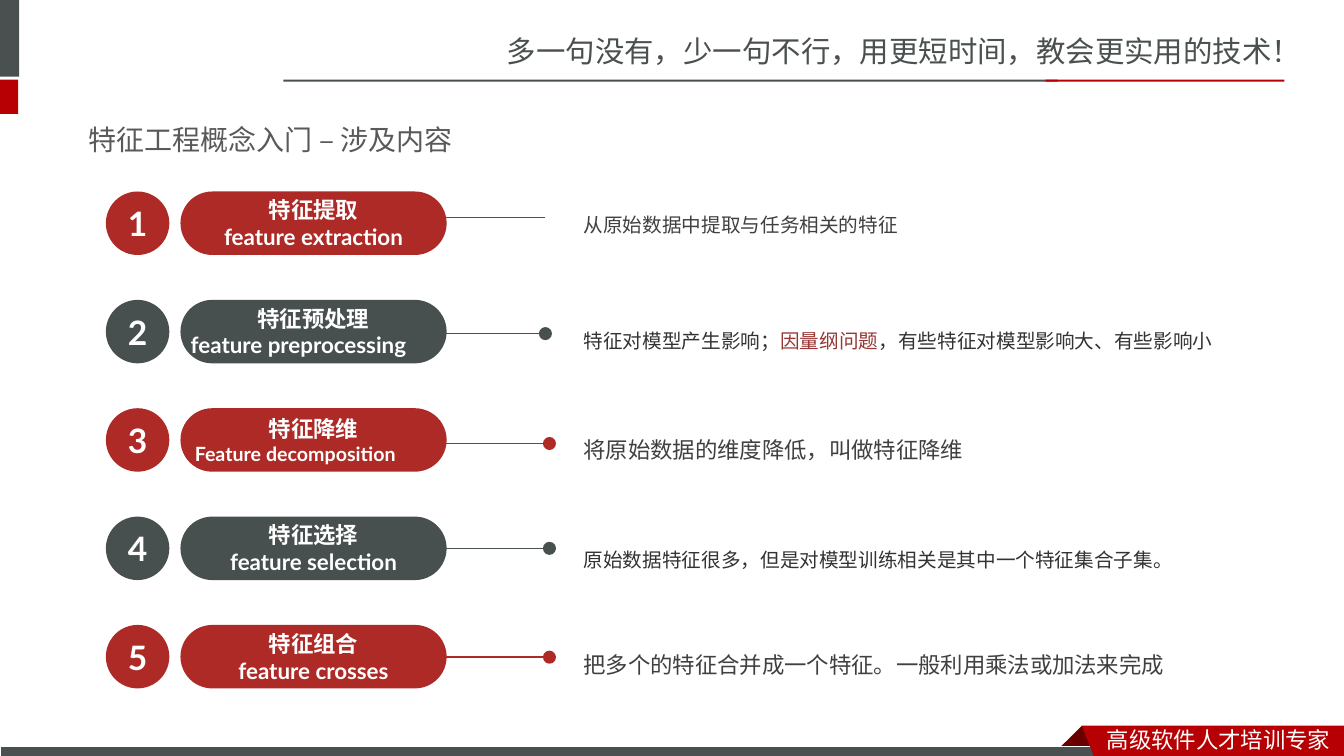
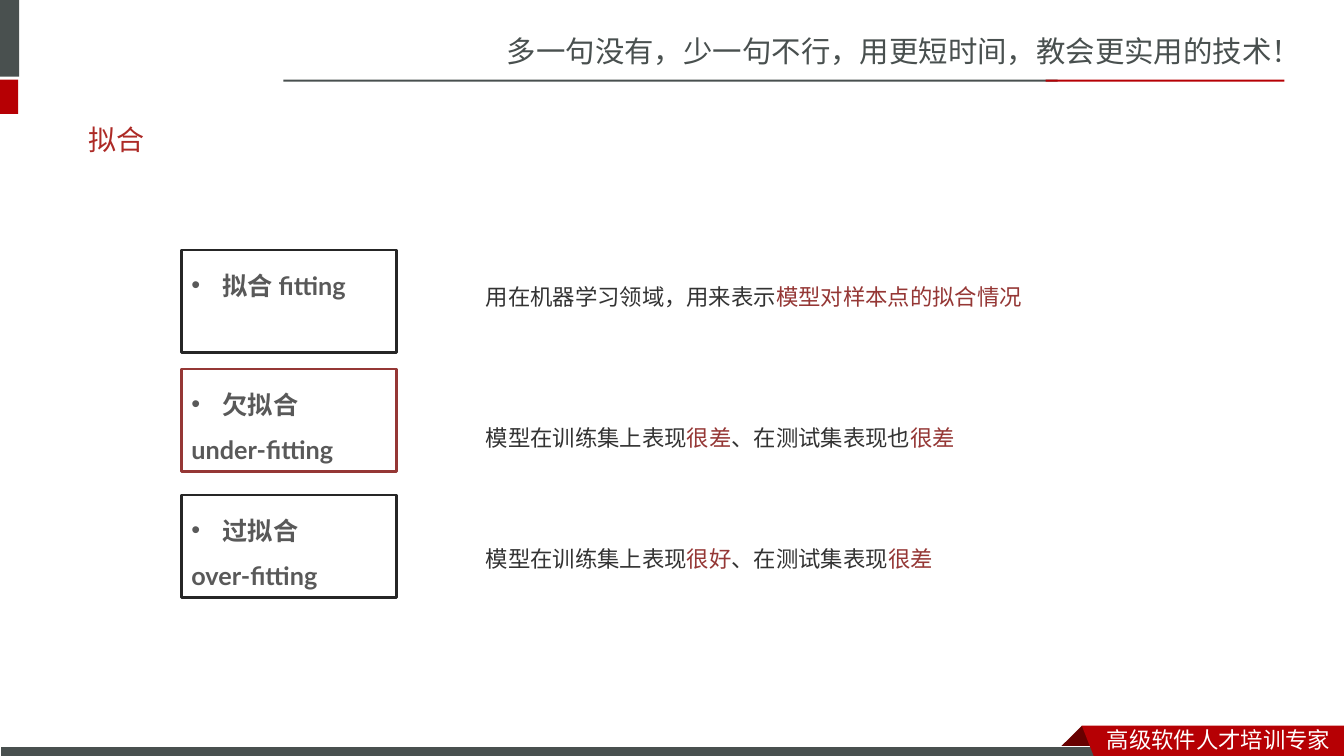
from dataclasses import dataclass

from lxml.etree import SubElement
from pptx import Presentation
from pptx.dml.color import RGBColor
from pptx.enum.shapes import MSO_CONNECTOR, MSO_SHAPE
from pptx.enum.text import MSO_ANCHOR, PP_ALIGN
from pptx.oxml.ns import qn
from pptx.util import Inches, Pt


@dataclass(frozen=True)
class Theme:
    slate: str = "49504F"
    band: str = "B60004"
    fold: str = "680000"
    red: str = "AD2A26"
    gray: str = "48504F"
    accent: str = "953735"
    title: str = "595959"
    body: str = "333333"
    soft: str = "404040"
    frame: str = "262626"
    white: str = "FFFFFF"
    cjk: str = "Noto Sans CJK SC"
    head: str = "Lato"
    number_size: int = 24
    slogan_size: int = 21
    title_size: int = 20
    card_size: int = 18
    text_size: int = 16
    small_size: int = 14


T = Theme()


def add_box(s, x, y, w, h, kind=None, fill=None, line=None, width=0.75):
    place = [Inches(v) for v in (x, y, w, h)]
    if kind is None:
        sp = s.shapes.add_textbox(*place)
    else:
        sp = s.shapes.add_shape(kind, *place)
        sp.shadow.inherit = False
        if fill:
            sp.fill.solid()
            sp.fill.fore_color.rgb = RGBColor.from_string(fill)
        else:
            sp.fill.background()
        if line:
            sp.line.color.rgb = RGBColor.from_string(line)
            sp.line.width = Pt(width)
        else:
            sp.line.fill.background()
    sp.text_frame.word_wrap = True
    return sp


def write(p, runs, size, font=T.head, bold=False, align=PP_ALIGN.LEFT, spacing=None):
    p.alignment = align
    if spacing:
        p.line_spacing = spacing
    for text, color in runs:
        r = p.add_run()
        r.text = text
        r.font.size = Pt(size)
        r.font.bold = bold
        r.font.name = font
        r.font.color.rgb = RGBColor.from_string(color)
        SubElement(r.font._element, qn("a:ea")).set("typeface", T.cjk)


prs = Presentation()
prs.slide_width, prs.slide_height = Inches(13.33), Inches(7.5)

slides = []
for title, color in (("特征工程概念入门 – 涉及内容", T.title), ("拟合", T.red)):
    s = prs.slides.add_slide(prs.slide_layouts[6])
    slides.append(s)

    sp = add_box(s, 4.93, 0.28, 8.4, 0.47)
    write(sp.text_frame.paragraphs[0],
          [("多一句没有，少一句不行，用更短时间，教会更实用的技术！", T.slate)],
          T.slogan_size, T.cjk)
    for x, y, w, h, fill in ((0, 0, 0.19, 0.76, T.slate),
                             (0, 0.79, 0.18, 0.34, T.band),
                             (2.81, 0.79, 7.68, 0.02, T.slate),
                             (10.37, 0.79, 2.37, 0.02, T.band)):
        add_box(s, x, y, w, h, MSO_SHAPE.RECTANGLE, fill)

    fold = [(10.73, 7.2), (10.95, 7.42), (10.94, 7.43), (10.52, 7.43), (10.51, 7.42)]
    ribbon = [(10.73, 7.2), (13.33, 7.2), (13.33, 7.54), (10.86, 7.53)]
    for outline, fill in ((fold, T.fold), (ribbon, T.band)):
        if outline is ribbon:
            add_box(s, 0, 7.41, 10.99, 0.12, MSO_SHAPE.RECTANGLE, T.slate, T.white)
        points = [(Inches(x), Inches(y)) for x, y in outline]
        builder = s.shapes.build_freeform(*points[0])
        builder.add_line_segments(points[1:], close=True)
        sp = builder.convert_to_shape()
        sp.shadow.inherit = False
        sp.fill.solid()
        sp.fill.fore_color.rgb = RGBColor.from_string(fill)
        sp.line.fill.background()
    sp = add_box(s, 10.88, 7.15, 2.45, 0.37)
    write(sp.text_frame.paragraphs[0], [("高级软件人才培训专家", T.white)], T.text_size, T.cjk)

    sp = add_box(s, 0.78, 1.1, 11.76, 0.57)
    sp.text_frame.vertical_anchor = MSO_ANCHOR.MIDDLE
    write(sp.text_frame.paragraphs[0], [(title, color)], T.title_size)

overview, fitting = slides

steps = [
    ("特征提取", "feature extraction", T.text_size, None, 2.16, None, 1.95,
     [("从原始数据中提取与任务相关的特征", T.soft)], T.small_size, "Calibri"),
    ("特征预处理", "feature preprocessing", T.text_size, 0.01, 3.31, 5.41, 3.1,
     [("特征对模型产生影响；", T.body), ("因量纲问题", T.accent),
      ("，有些特征对模型影响大、有些影响小", T.body)], T.small_size, "Open Sans"),
    ("特征降维", "Feature decomposition", T.small_size, 0.05, 4.4, 5.45, 4.14,
     [("将原始数据的维度降低，叫做特征降维", T.soft)], T.text_size, "Calibri"),
    ("特征选择", "feature selection", T.text_size, None, 5.44, 5.45, 5.27,
     [("原始数据特征很多，但是对模型训练相关是其中一个特征集合子集。", T.body)],
     T.small_size, "Open Sans"),
    ("特征组合", "feature crosses", T.text_size, None, 6.52, 5.45, 6.28,
     [("把多个的特征合并成一个特征。一般利用乘法或加法来完成", T.soft)],
     T.text_size, "Calibri"),
]
first_top, last_top = 1.9, 6.2
pitch = (last_top - first_top) / (len(steps) - 1)
dot = 0.13

for i, (name, english, english_size, indent, line_y, dot_x, note_y,
        note, note_size, note_font) in enumerate(steps):
    top = first_top + i * pitch
    color = T.gray if i % 2 else T.red

    line = overview.shapes.add_connector(
        MSO_CONNECTOR.STRAIGHT, Inches(4.4), Inches(line_y),
        Inches(dot_x or 5.41), Inches(line_y))
    line.line.color.rgb = RGBColor.from_string(color)
    line.line.width = Pt(1)
    SubElement(line._element.spPr, qn("a:effectLst"))
    if dot_x:
        add_box(overview, dot_x - dot / 2, line_y - dot / 2, dot, dot, MSO_SHAPE.OVAL, color)

    badge = add_box(overview, 1.05, top, 0.63, 0.63, MSO_SHAPE.OVAL, color)
    pill = add_box(overview, 1.79, top, 2.64, 0.63, MSO_SHAPE.ROUNDED_RECTANGLE, color)
    pill.adjustments[0] = 0.5
    for sp in (badge, pill):
        tf = sp.text_frame
        tf.margin_left = tf.margin_right = tf.margin_top = tf.margin_bottom = 0
        tf.vertical_anchor = MSO_ANCHOR.MIDDLE
    write(badge.text_frame.paragraphs[0], [(str(i + 1), T.white)], T.number_size,
          bold=True, align=PP_ALIGN.CENTER)
    write(pill.text_frame.paragraphs[0], [(name, T.white)], T.text_size,
          bold=True, align=PP_ALIGN.CENTER)
    p = pill.text_frame.add_paragraph()
    if indent:
        p._p.get_or_add_pPr().set("marL", str(Inches(indent)))
    write(p, [(english, T.white)], english_size, bold=True,
          align=PP_ALIGN.LEFT if indent else PP_ALIGN.CENTER)

    sp = add_box(overview, 5.69, note_y, 7.37, 0.45)
    write(sp.text_frame.paragraphs[0], note, note_size, note_font, spacing=1.5)

cards = [
    (2.48, T.frame, ["拟合 fitting"], 2.63,
     [("用在机器学习领域，用来表示", T.body), ("模型对样本点的拟合情况", T.accent)]),
    (3.66, T.accent, ["欠拟合", "under-fitting"], 4.03,
     [("模型在训练集上表现", T.body), ("很差", T.accent),
      ("、在测试集表现也", T.body), ("很差", T.accent)]),
    (4.91, T.frame, ["过拟合", "over-fitting"], 5.23,
     [("模型在训练集上表现", T.body), ("很好", T.accent),
      ("、在测试集表现", T.body), ("很差", T.accent)]),
]
for top, border, lines, note_y, note in cards:
    sp = add_box(fitting, 1.8, top, 2.13, 1.02, MSO_SHAPE.RECTANGLE, line=border, width=2)
    tf = sp.text_frame
    tf.vertical_anchor = MSO_ANCHOR.TOP
    for i, text in enumerate(lines):
        p = tf.add_paragraph() if i else tf.paragraphs[0]
        if i == 0:
            pPr = p._p.get_or_add_pPr()
            pPr.set("marL", str(Inches(0.31)))
            pPr.set("indent", str(-Inches(0.31)))
            SubElement(pPr, qn("a:buFont")).set("typeface", "Arial")
            SubElement(pPr, qn("a:buChar")).set("char", "•")
        write(p, [(text, T.title)], T.card_size, bold=True, spacing=1.5)

    sp = add_box(fitting, 4.72, note_y, 5.96, 0.5)
    write(sp.text_frame.paragraphs[0], note, T.text_size, "Roboto", spacing=1.5)

prs.save("out.pptx")
